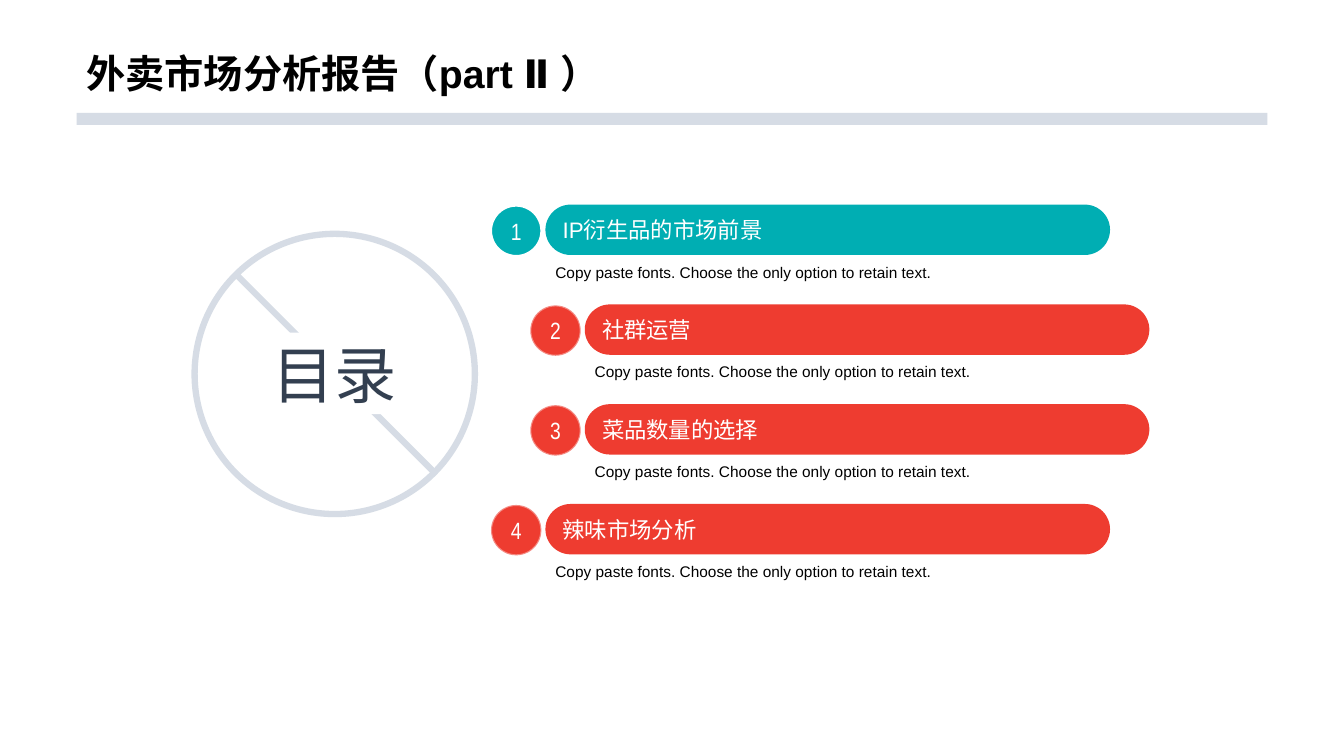
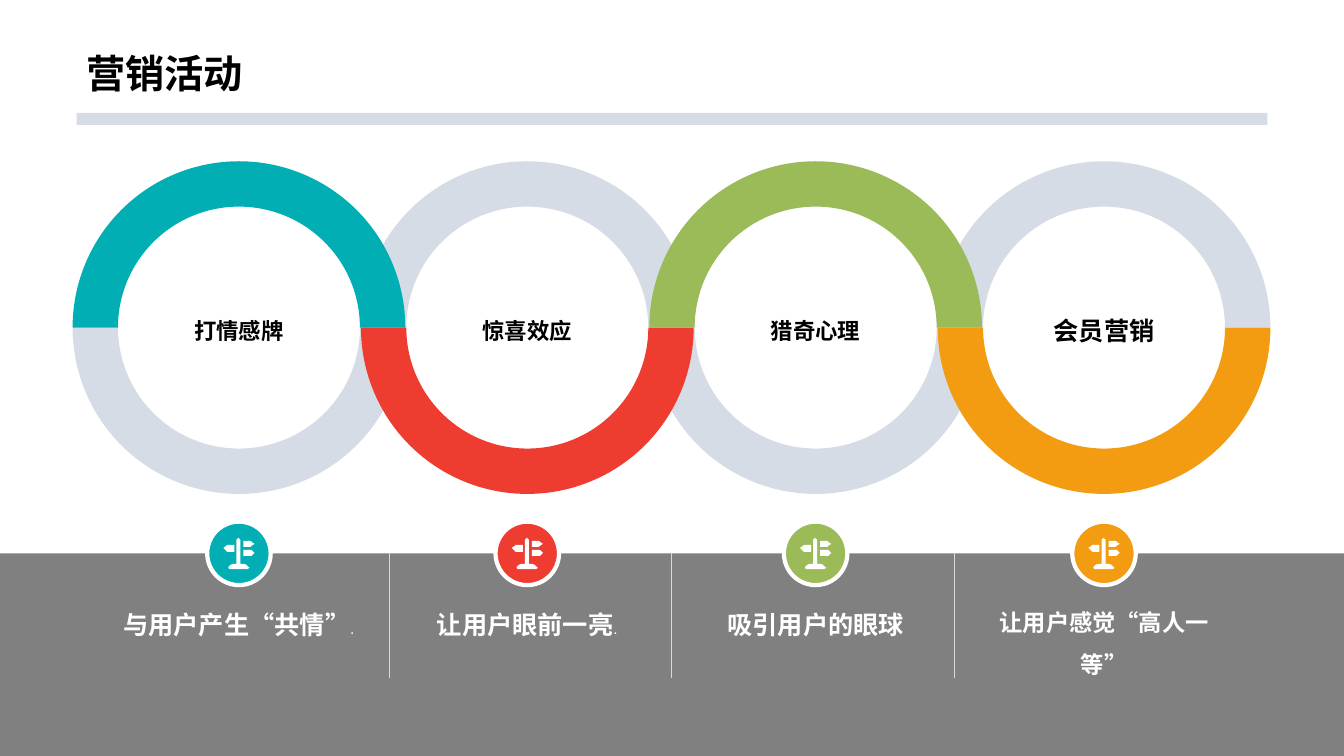
from lxml import etree
from pptx import Presentation
from pptx.dml.color import RGBColor
from pptx.enum.shapes import MSO_CONNECTOR, MSO_SHAPE
from pptx.enum.text import MSO_ANCHOR, PP_ALIGN
from pptx.oxml.ns import qn
from pptx.util import Inches, Pt

SLIDE_W, SLIDE_H = 13.33, 7.5
WHITE, BLACK, PALE, NAVY = "FFFFFF", "000000", "D6DCE5", "333F50"
TEAL, RED, GREEN, ORANGE = "00AEB3", "EE3C30", "9BBB59", "F39C12"
PANEL_GRAY, DIVIDER_GRAY = "808080", "D9D9D9"

AGENDA_TITLE = "外卖市场分析报告（part Ⅱ ）"
AGENDA_HEADING = "目录"
AGENDA_NOTE = "Copy paste fonts. Choose the only option to retain text."
# heading, colour, indent, opacity of the number's outline
AGENDA = [
    ("IP衍生品的市场前景", TEAL, 0, 100),
    ("社群运营", RED, 0.39, 40),
    ("菜品数量的选择", RED, 0.39, 40),
    ("辣味市场分析", RED, 0, 40),
]

CAMPAIGN_TITLE = "营销活动"
# ring label, label size, colour, caption, caption size, small ending
CAMPAIGNS = [
    ("打情感牌", 16, TEAL, "与用户产生“共情”", 18, "."),
    ("惊喜效应", 16, RED, "让用户眼前一亮", 18, "."),
    ("猎奇心理", 16, GREEN, "吸引用户的眼球", 18, ""),
    ("会员营销", 18, ORANGE, "让用户感觉“高人一等”", 16.6, ""),
]

# Outlines of the signpost icon, in hundredths of an inch
SIGNPOST = [
    [(20, 12), (27, 12), (28, 12.5), (31, 15), (28, 17.5), (27, 18), (20, 18)],
    [(11, 7), (4, 7), (3, 7.5), (0, 10), (3, 13), (4, 13.5), (11, 13.5)],
    [(20, 3), (27, 3), (28, 3.5), (31, 6), (28, 8.5), (27, 9), (20, 9)],
    [(15, 0), (16.5, 0.6), (17, 2), (17, 26), (21, 26), (23, 27), (25, 29),
     (25.5, 30.5), (24, 31), (6, 31), (5, 30.5), (5, 29), (7, 27), (9, 26),
     (13, 26), (13, 2), (13.5, 0.6)],
]


def color(hex_code):
    return RGBColor.from_string(hex_code)


def paint(shape, fill=None, line=None, line_width=0, opacity=100):
    """Set fill and outline; None leaves either one empty."""
    shape.shadow.inherit = False
    if fill:
        shape.fill.solid()
        shape.fill.fore_color.rgb = color(fill)
    else:
        shape.fill.background()
    if not line:
        shape.line.fill.background()
        return
    shape.line.color.rgb = color(line)
    shape.line.width = Pt(line_width)
    if opacity < 100:
        tint = shape._element.spPr.find(qn("a:ln")).find(".//" + qn("a:srgbClr"))
        etree.SubElement(tint, qn("a:alpha"), val=str(opacity * 1000))


def add_shape(slide, kind, left, top, width, height, **style):
    shape = slide.shapes.add_shape(
        kind, Inches(left), Inches(top), Inches(width), Inches(height))
    paint(shape, **style)
    return shape


def add_line(slide, x1, y1, x2, y2, line, line_width):
    connector = slide.shapes.add_connector(
        MSO_CONNECTOR.STRAIGHT, Inches(x1), Inches(y1), Inches(x2), Inches(y2))
    connector.line.color.rgb = color(line)
    connector.line.width = Pt(line_width)
    etree.SubElement(connector._element.spPr, qn("a:effectLst"))


def add_pill(slide, left, top, width, height, **style):
    pill = add_shape(slide, MSO_SHAPE.ROUNDED_RECTANGLE, left, top, width, height, **style)
    pill.adjustments[0] = 0.5
    return pill


def write(shape, text, size, ink=BLACK, bold=False, font="Arial", ending="",
          align=PP_ALIGN.LEFT, anchor=MSO_ANCHOR.MIDDLE, spacing=1.0, wrap=True):
    """Fill a shape with one paragraph; ending is a small plain last run."""
    frame = shape.text_frame
    frame.word_wrap = wrap
    frame.vertical_anchor = anchor
    paragraph = frame.paragraphs[0]
    paragraph.alignment = align
    paragraph.line_spacing = spacing
    for part, points, weight in ((text, size, bold), (ending, 11, False)):
        if part:
            run = paragraph.add_run()
            run.text = part
            run.font.size = Pt(points)
            run.font.bold = weight
            run.font.name = font
            run.font.color.rgb = color(ink)


def add_text(slide, left, top, width, height, text, size, **style):
    box = slide.shapes.add_textbox(
        Inches(left), Inches(top), Inches(width), Inches(height))
    write(box, text, size, **style)


def add_titled_slide(deck, title):
    slide = deck.slides.add_slide(deck.slide_layouts[6])
    add_shape(slide, MSO_SHAPE.RECTANGLE, 0.76, 1.12, 11.81, 0.12, fill=PALE)
    add_text(slide, 0.76, 0, 11.81, 1.01, title, 28, bold=True,
             anchor=MSO_ANCHOR.BOTTOM, spacing=0.9)
    return slide


def add_signpost(slide, left, top):
    first, *others = SIGNPOST
    builder = slide.shapes.build_freeform(*first[0], scale=Inches(0.01))
    builder.add_line_segments(first[1:])
    for outline in others:
        builder.move_to(*outline[0])
        builder.add_line_segments(outline[1:])
    paint(builder.convert_to_shape(Inches(left), Inches(top)), fill=WHITE)


def build_agenda(deck):
    slide = add_titled_slide(deck, AGENDA_TITLE)
    add_line(slide, 2.34, 2.72, 4.31, 4.69, PALE, 4.5)
    add_shape(slide, MSO_SHAPE.OVAL, 1.93, 2.32, 2.78, 2.78, line=PALE, line_width=4.5)
    heading = add_shape(slide, MSO_SHAPE.RECTANGLE, 2.12, 3.3, 2.4, 0.81, fill=WHITE)
    write(heading, AGENDA_HEADING, 44.4, ink=NAVY, align=PP_ALIGN.CENTER)

    for row, (topic, accent, indent, opacity) in enumerate(AGENDA):
        left, top = 5.41 + indent, 2.03 + 0.99 * row
        number = add_shape(slide, MSO_SHAPE.OVAL, left - 0.54, top + 0.01, 0.5, 0.5,
                           fill=accent, line=WHITE, line_width=1.5, opacity=opacity)
        write(number, str(row + 1), 16.8, ink=WHITE, font="Arial Narrow",
              align=PP_ALIGN.CENTER, wrap=False)
        bar = add_pill(slide, left, top, 5.6, 0.5, fill=accent)
        write(bar, topic, 16, ink=WHITE)
        add_text(slide, left, top + 0.49, 5.6, 0.39, AGENDA_NOTE, 11,
                 anchor=MSO_ANCHOR.TOP, spacing=1.2)


def build_campaigns(deck):
    slide = add_titled_slide(deck, CAMPAIGN_TITLE)
    panel_top, ring, thickness, badge, icon = 5.49, 3.3, 0.45, 0.63, 0.31
    add_shape(slide, MSO_SHAPE.RECTANGLE, 0, panel_top, SLIDE_W, SLIDE_H - panel_top,
              fill=PANEL_GRAY)
    centers = [2.37 + 2.86 * i for i in range(len(CAMPAIGNS))]

    # Pale halves go first, so that the coloured halves lie over them
    for colored in (False, True):
        for i, (center, campaign) in enumerate(zip(centers, CAMPAIGNS)):
            half = add_shape(slide, MSO_SHAPE.BLOCK_ARC, center - ring / 2, 1.6, ring, ring,
                             fill=campaign[2] if colored else PALE)
            half.adjustments[2] = thickness / ring
            is_upper = (i % 2 == 0) == colored
            half.rotation = 0 if is_upper else 180

    for center, campaign in zip(centers, CAMPAIGNS):
        label, label_size, accent, caption, caption_size, ending = campaign
        add_text(slide, center - 0.95, 3, 1.9, 0.55, label, label_size, bold=True,
                 align=PP_ALIGN.CENTER, wrap=False)
        add_pill(slide, center - badge / 2, panel_top - badge / 2, badge, badge,
                 fill=accent, line=WHITE, line_width=3)
        add_signpost(slide, center - icon / 2, panel_top - icon / 2)
        add_text(slide, center - 1.29, 5.85, 2.58, 0.89, caption, caption_size,
                 ink=WHITE, bold=True, ending=ending, align=PP_ALIGN.CENTER,
                 anchor=MSO_ANCHOR.TOP, spacing=1.5)

    for i in range(len(CAMPAIGNS) - 1):
        x = 3.86 + 2.8 * i
        add_line(slide, x, panel_top, x, 6.73, DIVIDER_GRAY, 0.25)


def main():
    deck = Presentation()
    deck.slide_width, deck.slide_height = Inches(SLIDE_W), Inches(SLIDE_H)
    build_agenda(deck)
    build_campaigns(deck)
    deck.save("out.pptx")


if __name__ == "__main__":
    main()
